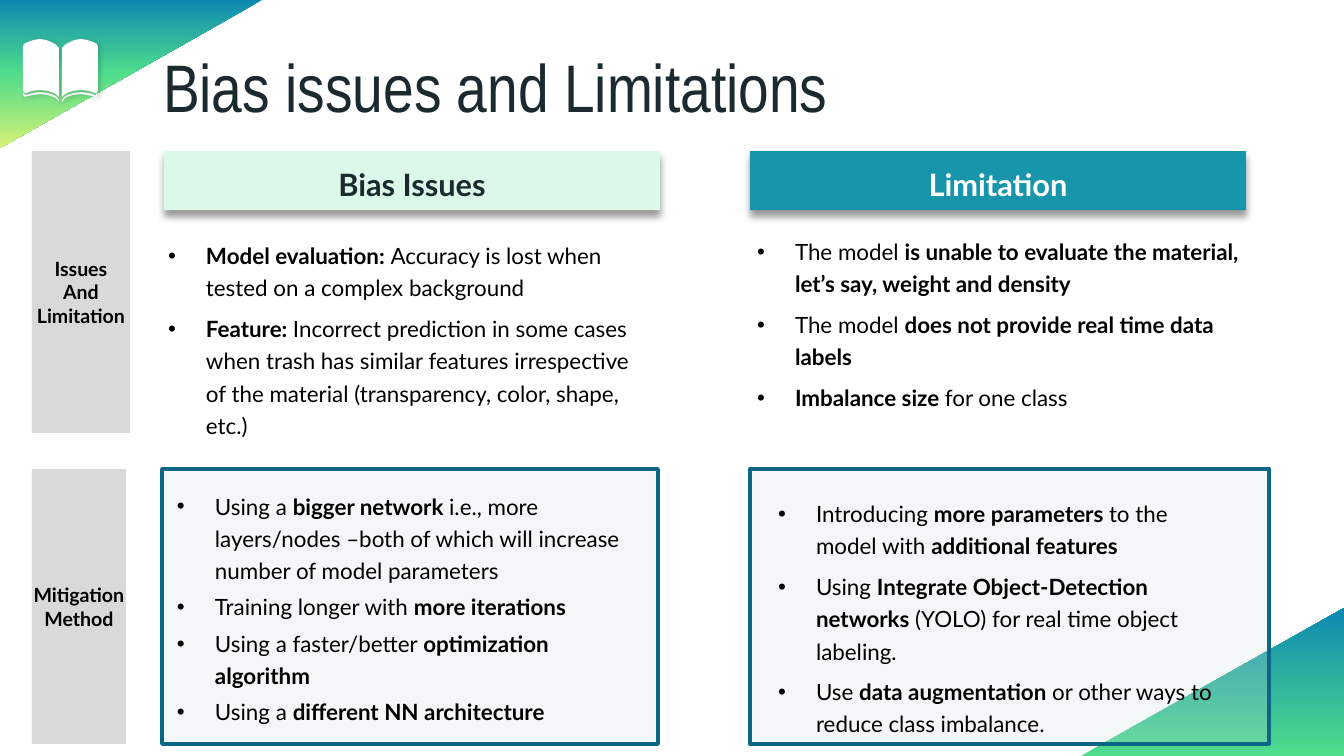
from dataclasses import dataclass

from lxml import etree
from pptx import Presentation
from pptx.dml.color import RGBColor
from pptx.enum.shapes import MSO_SHAPE as Preset
from pptx.enum.text import MSO_ANCHOR as Anchor, MSO_AUTO_SIZE as AutoSize, PP_ALIGN as Align
from pptx.oxml import parse_xml
from pptx.oxml.ns import nsdecls, qn
from pptx.util import Emu, Pt

SCALE = 914400 / 134.4  # EMU in one px


@dataclass(frozen=True)
class Theme:
    dark: str = "1A2A30"
    black: str = "000000"
    white: str = "FFFFFF"
    mint: str = "DCF8E8"
    teal: str = "1796AB"
    label: str = "D9D9D9"
    panel: str = "CDDDDB"
    border: str = "0A6785"
    blue: str = "0D89B1"
    green: str = "50DD8B"
    lime: str = "D6F075"
    title_font: str = "Arial Narrow"
    body_font: str = "Lato"
    title_size: float = 36
    heading_size: float = 16.5
    body_size: float = 12
    label_size: float = 10.5


THEME = Theme()


def px(length):
    return Emu(round(length * SCALE))


def color(value):
    return RGBColor.from_string(value)


def format_run(run, size, ink, bold=False, font=THEME.body_font):
    run.font.name = font
    run.font.size = Pt(size)
    run.font.bold = bold
    run.font.color.rgb = color(ink)


def set_insets(frame, horizontal, vertical):
    frame.margin_left = frame.margin_right = px(horizontal)
    frame.margin_top = frame.margin_bottom = px(vertical)


def add_block(shapes, preset, box, fill):
    shape = shapes.add_shape(preset, *map(px, box))
    shape.shadow.inherit = False
    shape.fill.solid()
    shape.fill.fore_color.rgb = color(fill)
    shape.line.fill.background()
    return shape


def add_shadow(shape, ink, opacity, blur, distance, degrees):
    properties = shape._element.spPr
    effects = properties.find(qn("a:effectLst"))
    effects.append(parse_xml(
        f'<a:outerShdw {nsdecls("a")} blurRad="{Pt(blur)}" dist="{Pt(distance)}" '
        f'dir="{degrees * 60000}" algn="ctr" rotWithShape="0"><a:srgbClr val="{ink}">'
        f'<a:alpha val="{opacity * 1000}"/></a:srgbClr></a:outerShdw>'))


def add_corner(shapes, box, rotation, stops):
    """Gradient triangle whose turned outline fills the box."""
    left, top, width, height = box
    shift = (width - height) / 2
    shape = add_block(shapes, Preset.RIGHT_TRIANGLE,
                      (left + shift, top - shift, height, width), THEME.blue)
    shape.rotation = rotation
    marks = "".join(f'<a:gs pos="{position * 1000}"><a:srgbClr val="{ink}"/></a:gs>'
                    for position, ink in stops)
    properties = shape._element.spPr
    properties.replace(properties.find(qn("a:solidFill")), parse_xml(
        f'<a:gradFill {nsdecls("a")} rotWithShape="1"><a:gsLst>{marks}</a:gsLst>'
        '<a:lin ang="0" scaled="0"/></a:gradFill>'))


def add_book(shapes, box):
    """Open book: a page and its lower edge, mirrored about the spine."""
    left, top, width, _ = box
    page = [(17, 0), (11, 1), (5, 3), (1, 5), (0, 8), (0, 51), (1, 54), (3, 54), (9, 52),
            (17, 51), (25, 52), (31, 54), (34, 56), (36, 58), (36, 9), (35, 8), (32, 5),
            (28, 3), (23, 1)]
    edge = [(0, 54), (0, 56), (2, 58), (5, 57), (11, 56), (17, 55), (25, 56), (31, 58),
            (34, 60), (36, 63), (36, 61), (34, 58), (31, 56), (25, 54), (17, 53), (9, 54),
            (3, 56)]
    book = shapes.add_group_shape()
    for outline in (edge, page):
        for mirrored in (False, True):
            points = [(left + (width - x if mirrored else x), top + y) for x, y in outline]
            builder = book.shapes.build_freeform(*points[0], scale=SCALE)
            builder.add_line_segments(points[1:], close=True)
            shape = builder.convert_to_shape()
            shape.shadow.inherit = False
            shape.fill.solid()
            shape.fill.fore_color.rgb = color(THEME.white)
            shape.line.fill.background()
            add_shadow(shape, THEME.dark, 20, 2.2, 1.5, 45)


def add_title(slide, box, text):
    title = slide.shapes.title
    title.left, title.top, title.width, title.height = map(px, box)
    frame = title.text_frame
    frame.text = text
    frame.auto_size = AutoSize.NONE
    frame.vertical_anchor = Anchor.BOTTOM
    set_insets(frame, 0, 0)
    paragraph = frame.paragraphs[0]
    paragraph.alignment = Align.LEFT
    paragraph.line_spacing = 0.9
    format_run(paragraph.runs[0], THEME.title_size, THEME.dark, font=THEME.title_font)


def add_heading(shapes, box, text, fill, ink):
    shape = add_block(shapes, Preset.ROUNDED_RECTANGLE, box, fill)
    shape.adjustments[0] = 0
    add_shadow(shape, THEME.black, 40, 4, 3, 90)
    shape.text_frame.text = text
    shape.text_frame.vertical_anchor = Anchor.MIDDLE
    paragraph = shape.text_frame.paragraphs[0]
    paragraph.alignment = Align.CENTER
    paragraph.line_spacing = 1.2
    format_run(paragraph.runs[0], THEME.heading_size, ink, bold=True)


def add_row_label(shapes, box, text):
    frame = add_block(shapes, Preset.RECTANGLE, box, THEME.label).text_frame
    frame.text = text
    frame.vertical_anchor = Anchor.MIDDLE
    set_insets(frame, 0, 0)
    for paragraph in frame.paragraphs:
        paragraph.alignment = Align.CENTER
        format_run(paragraph.runs[0], THEME.label_size, THEME.black, bold=True)


def add_panel(shapes, box):
    shape = add_block(shapes, Preset.RECTANGLE, box, THEME.panel)
    fill_color = shape._element.spPr.find(qn("a:solidFill"))[0]
    etree.SubElement(fill_color, qn("a:alpha"), val="22000")
    shape.line.color.rgb = color(THEME.border)
    shape.line.width = Pt(2)


def add_bullet(paragraph, indent):
    properties = paragraph._p.get_or_add_pPr()
    properties.set("marL", str(px(indent)))
    properties.set("indent", str(-px(indent)))
    ink = etree.SubElement(properties, qn("a:buClr"))
    etree.SubElement(ink, qn("a:srgbClr"), val=THEME.black)
    etree.SubElement(properties, qn("a:buFont"), typeface="Arial")
    etree.SubElement(properties, qn("a:buChar"), char="•")


def add_bullets(shapes, box, items, inset, space_after, anchor=Anchor.TOP):
    """Bulleted list; words between asterisks are bold."""
    frame = shapes.add_textbox(*map(px, box)).text_frame
    frame.word_wrap = True
    frame.vertical_anchor = anchor
    set_insets(frame, inset, 7)
    for index, item in enumerate(items):
        paragraph = frame.add_paragraph() if index else frame.paragraphs[0]
        add_bullet(paragraph, 38)
        paragraph.line_spacing = 1.2
        paragraph.space_after = Pt(space_after)
        for part, words in enumerate(item.split("*")):
            if words:
                run = paragraph.add_run()
                run.text = words
                format_run(run, THEME.body_size, THEME.black, bold=part % 2 == 1)


def main():
    presentation = Presentation()
    presentation.slide_width, presentation.slide_height = px(1344), px(756)
    slide = presentation.slides.add_slide(presentation.slide_layouts[5])
    shapes = slide.shapes

    # Corner decoration and title
    add_corner(shapes, (0, 0, 262, 148), 90,
               [(0, THEME.blue), (50, THEME.green), (100, THEME.lime)])
    add_corner(shapes, (1081, 608, 263, 148), 270, [(0, THEME.green), (100, THEME.blue)])
    add_title(slide, (163, 71, 1159, 56), "Bias issues and Limitations")

    # Column headings
    add_heading(shapes, (164, 151, 496, 59), "Bias Issues", THEME.mint, THEME.dark)
    add_heading(shapes, (750, 151, 496, 59), "Limitation", THEME.teal, THEME.white)

    # Issues and limitation row
    add_row_label(shapes, (32, 151, 98, 282), "Issues\nAnd\nLimitation")
    add_bullets(shapes, (164, 230, 495, 190), [
        "*Model evaluation: *Accuracy is lost when tested on a complex background",
        "*Feature: *Incorrect prediction in some cases when trash has similar features "
        "irrespective of the material (transparency, color, shape, etc.)",
    ], 4, 4.5)
    add_bullets(shapes, (753, 226, 504, 224), [
        "The model *is unable to evaluate the material, let’s say, weight and density*",
        "The model *does not provide real time data labels*",
        "*Imbalance size *for one class",
    ], 4, 4.5)

    # Mitigation row
    add_row_label(shapes, (32, 469, 94, 275), "Mitigation\nMethod")
    add_panel(shapes, (162, 469, 496, 275))
    add_bullets(shapes, (164, 482, 477, 249), [
        "Using a *bigger network *i.e., more layers/nodes –both of which will increase "
        "number of model parameters",
        "Training longer with *more iterations*",
        "Using a faster/better *optimization algorithm*",
        "Using a *different NN architecture*",
    ], 13, 2.2, Anchor.MIDDLE)
    add_panel(shapes, (750, 469, 519, 275))
    add_bullets(shapes, (765, 488, 473, 257), [
        "Introducing *more parameters *to the model with *additional features*",
        "Using *Integrate Object-Detection networks *(YOLO) for real time object labeling.",
        "Use *data augmentation *or other ways to reduce class imbalance.",
    ], 13, 4.5)

    # Book icon
    add_book(shapes, (23, 39, 75, 63))
    presentation.save("out.pptx")


if __name__ == "__main__":
    main()
